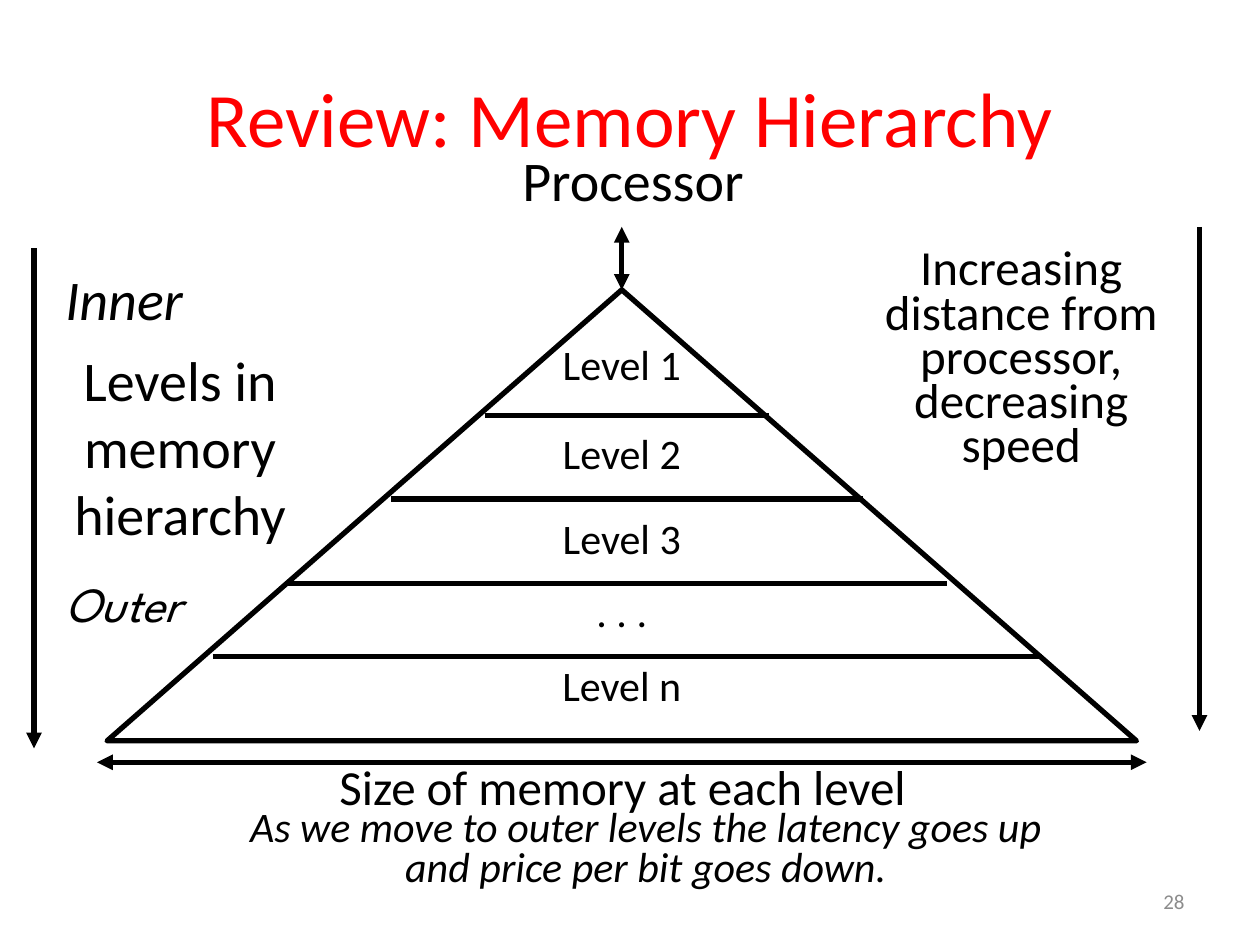
from dataclasses import dataclass

from lxml import etree
from pptx import Presentation
from pptx.dml.color import RGBColor
from pptx.enum.shapes import MSO_CONNECTOR, MSO_SHAPE
from pptx.enum.text import MSO_ANCHOR, MSO_AUTO_SIZE, PP_ALIGN
from pptx.oxml.ns import qn
from pptx.shapes.autoshape import Shape
from pptx.shapes.connector import Connector
from pptx.slide import Slide
from pptx.util import Inches, Pt

BLACK = RGBColor(0x00, 0x00, 0x00)
RED = RGBColor(0xFF, 0x00, 0x00)
GRAY = RGBColor(0x8C, 0x8C, 0x8C)
LEFT, CENTER, RIGHT = PP_ALIGN.LEFT, PP_ALIGN.CENTER, PP_ALIGN.RIGHT
TOP, MIDDLE = MSO_ANCHOR.TOP, MSO_ANCHOR.MIDDLE
STRAIGHT = MSO_CONNECTOR.STRAIGHT
GROW = MSO_AUTO_SIZE.SHAPE_TO_FIT_TEXT
LINE_WIDTH = Pt(3)
TRIANGLE_APEX = 0
WIDE_INSETS = (0.1, 0.05)
TIGHT_INSETS = (0.07, 0.03)


@dataclass
class Label:
    text: str
    box: tuple[float, float, float, float]
    size: int
    align: PP_ALIGN = CENTER
    spacing: float = 1.0
    insets: tuple[float, float] = WIDE_INSETS
    font: str = "Calibri"
    italic: bool = False
    color: RGBColor = BLACK
    wrap: bool = True
    anchor: MSO_ANCHOR = TOP


@dataclass
class Line:
    start: tuple[float, float]
    end: tuple[float, float]
    head: bool = False
    tail: bool = False


def tight_label(text: str, box: tuple[float, float, float, float], size: int) -> Label:
    return Label(text, box, size, spacing=0.75, insets=TIGHT_INSETS)


LEVELS = [("Level 1", 2.75), ("Level 2", 3.46), ("Level 3", 4.13),
          (". . .", 4.71), ("Level n", 5.3)]

LABELS = [
    tight_label("Processor", (0.69, 1.25, 8.67, 0.48), 32),
    tight_label("Size of memory at each level", (1.44, 6.08, 7, 0.43), 28),
    tight_label("Increasing distance from processor,\vdecreasing speed",
                (6.77, 1.96, 2.67, 1.84), 28),
    *(tight_label(text, (4.1, top, 1.67, 0.38), 24) for text, top in LEVELS),
    Label("Inner", (0.42, 2.05, 1.25, 0.64), 32, LEFT, italic=True, wrap=False),
    Label("Outer", (0.42, 4.5, 1.28, 0.57), 28, LEFT, font="League Spartan",
          italic=True, wrap=False),
    Label("Levels in memory hierarchy", (0.26, 2.69, 2.34, 1.72), 32),
    Label("As we move to outer levels the latency goes up\vand price per bit goes down.",
          (1.25, 6.38, 7.75, 0.76), 24, spacing=0.8, italic=True),
    Label("28", (7.17, 6.95, 2.33, 0.4), 12, RIGHT, color=GRAY, anchor=MIDDLE),
]

DIVIDERS = [(3.85, 6.1, 3.3), (3.1, 6.85, 3.96), (2.27, 7.52, 4.63), (1.69, 8.27, 5.21)]

LINES = [
    Line((0.77, 6.05), (9.1, 6.05), head=True, tail=True),
    Line((9.52, 1.8), (9.52, 5.8), tail=True),
    Line((0.27, 1.97), (0.27, 5.94), tail=True),
    *(Line((left, y), (right, y)) for left, right, y in DIVIDERS),
]


def set_font(font, **values) -> None:
    color = values.pop("color")
    for name, value in values.items():
        setattr(font, name, value)
    font.color.rgb = color


def add_label(slide: Slide, label: Label) -> None:
    frame = slide.shapes.add_textbox(*map(Inches, label.box)).text_frame
    side, edge = map(Inches, label.insets)
    frame_format = {
        "word_wrap": label.wrap, "auto_size": GROW, "vertical_anchor": label.anchor,
        "margin_left": side, "margin_right": side,
        "margin_top": edge, "margin_bottom": edge,
    }
    for name, value in frame_format.items():
        setattr(frame, name, value)
    paragraph = frame.paragraphs[0]
    paragraph.text = label.text
    paragraph.alignment = label.align
    paragraph.line_spacing = label.spacing
    for run in paragraph.runs:
        set_font(run.font, name=label.font, size=Pt(label.size),
                 italic=label.italic, color=label.color)


def add_line(slide: Slide, line: Line) -> Connector:
    connector = slide.shapes.add_connector(
        STRAIGHT, *map(Inches, (*line.start, *line.end)))
    connector.line.color.rgb = BLACK
    connector.line.width = LINE_WIDTH
    outline = connector.line._get_or_add_ln()
    for tag, wanted in (("a:headEnd", line.head), ("a:tailEnd", line.tail)):
        if wanted:
            etree.SubElement(outline, qn(tag), type="triangle")
    etree.SubElement(connector._element.spPr, qn("a:effectLst"))
    return connector


def add_pyramid(slide: Slide) -> Shape:
    pyramid = slide.shapes.add_shape(
        MSO_SHAPE.ISOSCELES_TRIANGLE, *map(Inches, (0.85, 2.3, 8.17, 3.58)))
    pyramid.shadow.inherit = False
    pyramid.fill.background()
    pyramid.line.color.rgb = BLACK
    pyramid.line.width = LINE_WIDTH
    return pyramid


def add_title(slide: Slide) -> None:
    title = slide.shapes.title
    title.left, title.top, title.width, title.height = map(Inches, (0.5, 0.3, 9, 1.25))
    title.text_frame.vertical_anchor = MIDDLE
    paragraph = title.text_frame.paragraphs[0]
    paragraph.text = "Review: Memory Hierarchy"
    paragraph.alignment = CENTER
    set_font(paragraph.runs[0].font, name="Calibri", size=Pt(44), color=RED)


def main() -> None:
    presentation = Presentation()
    presentation.slide_width = Inches(10)
    presentation.slide_height = Inches(7.5)
    slide = presentation.slides.add_slide(
        presentation.slide_layouts.get_by_name("Title Only"))
    add_title(slide)
    pyramid = add_pyramid(slide)
    processor_arrow = add_line(slide, Line((4.94, 2.3), (4.94, 1.8), head=True, tail=True))
    processor_arrow.begin_connect(pyramid, TRIANGLE_APEX)
    processor_arrow.end_x = processor_arrow.begin_x
    for line in LINES:
        add_line(slide, line)
    for label in LABELS:
        add_label(slide, label)
    presentation.save("out.pptx")


if __name__ == "__main__":
    main()
